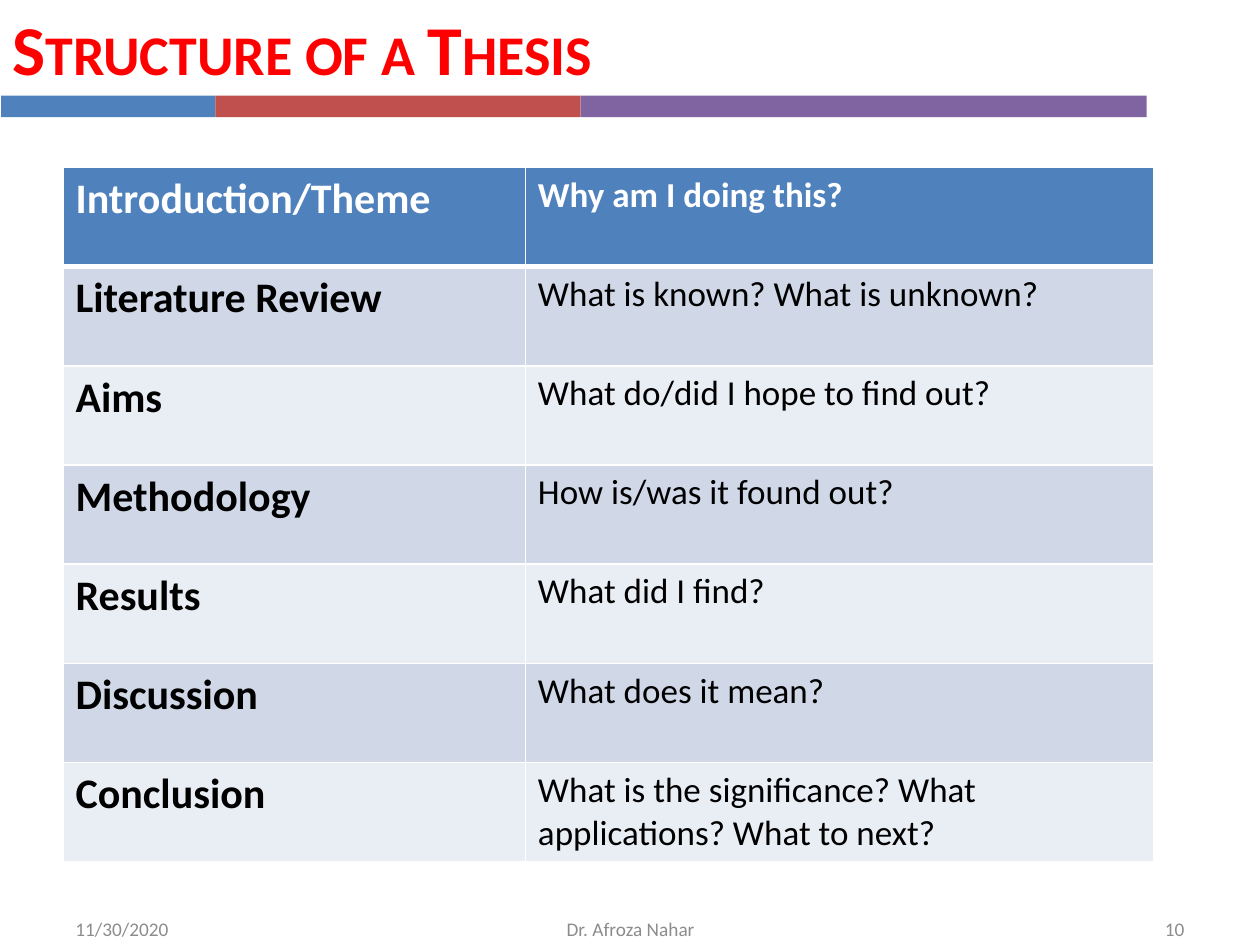
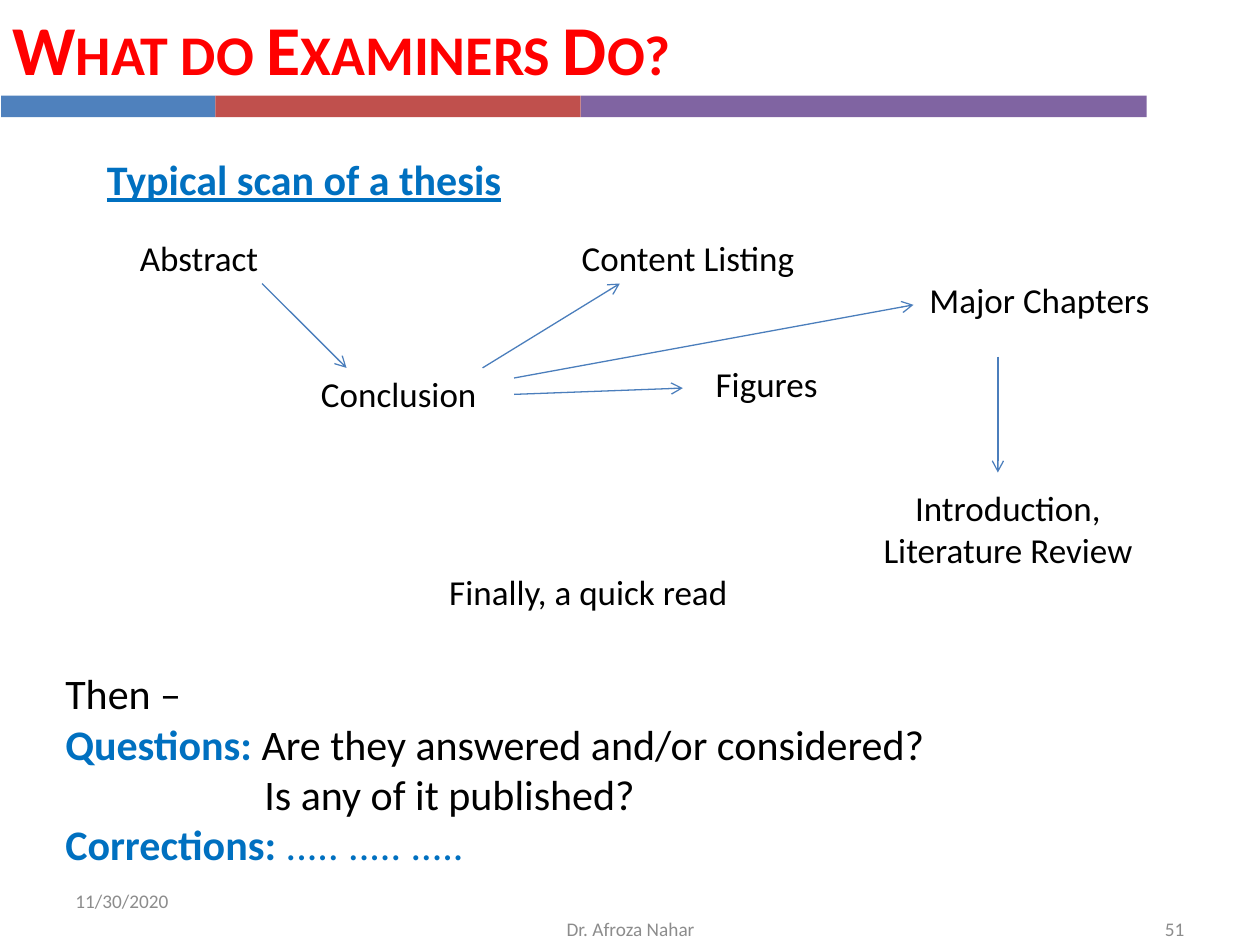
from lxml import etree
from pptx import Presentation
from pptx.dml.color import RGBColor
from pptx.enum.shapes import MSO_CONNECTOR, MSO_SHAPE
from pptx.enum.text import MSO_ANCHOR, MSO_AUTO_SIZE, PP_ALIGN
from pptx.oxml.ns import qn
from pptx.util import Inches, Pt

LEFT, CENTER, RIGHT = PP_ALIGN.LEFT, PP_ALIGN.CENTER, PP_ALIGN.RIGHT
TOP, MIDDLE = MSO_ANCHOR.TOP, MSO_ANCHOR.MIDDLE
RECTANGLE, STRAIGHT = MSO_SHAPE.RECTANGLE, MSO_CONNECTOR.STRAIGHT
NO_FIT, GROW = MSO_AUTO_SIZE.NONE, MSO_AUTO_SIZE.SHAPE_TO_FIT_TEXT

FONT = "Calibri"
BLUE, RED, PURPLE = "4F81BD", "C0504D", "8064A2"
TITLE_RED, ACCENT, GREY = "FF0000", "0070C0", "8C8C8C"
BLACK, WHITE, ARROW_BLUE = "000000", "FFFFFF", "4B7EBC"
ROW_FILLS = ["E9EDF4", "D0D8E8"]
color = RGBColor.from_string


def add_run(paragraph, text, size, hex_color, bold=False):
    run = paragraph.add_run()
    run.text = text
    run.font.name = FONT
    run.font.size = Pt(size)
    run.font.bold = bold
    run.font.color.rgb = color(hex_color)
    return run


def add_text_box(slide, box, lines, size, hex_color, align=LEFT, anchor=TOP, fit=GROW):
    """Each line is a list of (text, colour, bold) runs or a plain string."""
    shape = slide.shapes.add_textbox(*[Inches(value) for value in box])
    frame = shape.text_frame
    frame.word_wrap = True
    frame.auto_size = fit
    frame.vertical_anchor = anchor
    for index, line in enumerate(lines):
        paragraph = frame.paragraphs[0] if index == 0 else frame.add_paragraph()
        paragraph.alignment = align
        runs = [(line, hex_color, False)] if isinstance(line, str) else line
        for text, run_color, bold in runs:
            add_run(paragraph, text, size, run_color, bold)
    return shape


presentation = Presentation()
presentation.slide_width = Inches(10)
presentation.slide_height = Inches(7.5)
title_only = presentation.slide_layouts[5]

# Shared parts: title, colour band, footers
slides = []
for title_text, number, date_top in [
    ("Structure of a Thesis", "10", 7.17),
    ("What do Examiners Do?", "51", 6.95),
]:
    slide = presentation.slides.add_slide(title_only)
    slides.append(slide)

    title = slide.shapes.title
    title.left, title.top = Inches(0), Inches(0)
    title.width, title.height = Inches(9.1), Inches(0.76)
    title.text_frame.auto_size = NO_FIT
    title.text_frame.vertical_anchor = MIDDLE
    paragraph = title.text_frame.paragraphs[0]
    paragraph.alignment = LEFT
    run = add_run(paragraph, title_text, 40, TITLE_RED, True)
    run.font._element.set("cap", "small")

    band_left = 0.01
    for width, fill in [(1.7, BLUE), (2.9, RED), (4.49, PURPLE)]:
        band = slide.shapes.add_shape(
            RECTANGLE, Inches(band_left), Inches(0.76), Inches(width), Inches(0.17)
        )
        band.shadow.inherit = False
        band.fill.solid()
        band.fill.fore_color.rgb = color(fill)
        band.line.fill.background()
        band_left += width

    for text, left, top, width, align in [
        ("11/30/2020", 0.5, date_top, 2.33, LEFT),
        ("Dr. Afroza Nahar", 3.42, 7.17, 3.17, CENTER),
        (number, 7.17, 7.17, 2.33, RIGHT),
    ]:
        add_text_box(slide, (left, top, width, 0.4), [text], 11, GREY, align, MIDDLE, NO_FIT)

structure_slide, examiners_slide = slides

# Slide 1: thesis parts and the question each one answers
thesis_parts = [
    ("Introduction/Theme", "Why am I doing this?"),
    ("Literature Review", "What is known? What is unknown?"),
    ("Aims", "What do/did I hope to find out?"),
    ("Methodology", "How is/was it found out?"),
    ("Results", "What did I find?"),
    ("Discussion", "What does it mean?"),
    ("Conclusion", "What is the significance? What applications? What to next?"),
]
table = structure_slide.shapes.add_table(
    len(thesis_parts), 2, Inches(0.5), Inches(1.33), Inches(8.66), Inches(5.51)
).table
table.columns[0].width = Inches(3.67)
table.columns[1].width = Inches(4.99)

for row_index, part in enumerate(thesis_parts):
    is_header = row_index == 0
    for column_index, text in enumerate(part):
        is_part_name = column_index == 0
        cell = table.cell(row_index, column_index)
        add_run(
            cell.text_frame.paragraphs[0],
            text,
            24 if is_part_name else 20,
            WHITE if is_header else BLACK,
            is_header or is_part_name,
        )

        # Borders go before the fill in the cell properties
        properties = cell._tc.get_or_add_tcPr()
        for side in ("lnL", "lnR", "lnT", "lnB"):
            below_header = (row_index, side) in [(0, "lnB"), (1, "lnT")]
            border = etree.SubElement(properties, qn(f"a:{side}"))
            border.set("w", str(Pt(3 if below_header else 1)))
            border_fill = etree.SubElement(border, qn("a:solidFill"))
            etree.SubElement(border_fill, qn("a:srgbClr")).set("val", WHITE)
        cell.fill.solid()
        cell.fill.fore_color.rgb = color(BLUE if is_header else ROW_FILLS[row_index % 2])

# Slide 2: reading order of an examiner
heading = add_text_box(
    examiners_slide, (0.75, 1.17, 3.42, 0.5),
    [[("Typical scan of a thesis", ACCENT, True)]], 24, ACCENT,
)
heading.text_frame.paragraphs[0].runs[0].font.underline = True

steps = {}
for lines, left, top, width in [
    (["Abstract"], 0.83, 1.83, 1.5),
    (["Conclusion"], 2.25, 2.91, 1.83),
    (["Content Listing"], 4.25, 1.83, 2.42),
    (["Figures"], 5.17, 2.83, 1.83),
    (["Major Chapters"], 7, 2.16, 2.5),
    (["Introduction,", "Literature Review"], 6.75, 3.81, 2.5),
    (["Finally, a quick read"], 3.42, 4.48, 2.5),
]:
    height = 0.44 + 0.33 * (len(lines) - 1)
    steps[lines[0]] = add_text_box(
        examiners_slide, (left, top, width, height), lines, 20, BLACK, CENTER
    )

# Arrows between the steps
for start_x, start_y, end_x, end_y, start_step in [
    (2.08, 2.25, 2.75, 2.92, None),
    (3.83, 2.92, 4.92, 2.25, None),
    (4.08, 3.13, 5.42, 3.08, "Conclusion"),
    (4.08, 3, 7.25, 2.42, None),
    (7.92, 2.83, 7.92, 3.75, None),
]:
    arrow = examiners_slide.shapes.add_connector(
        STRAIGHT, Inches(start_x), Inches(start_y), Inches(end_x), Inches(end_y)
    )
    if start_step:
        arrow.begin_connect(steps[start_step], 3)
    arrow.line.color.rgb = color(ARROW_BLUE)
    arrow.line.width = Pt(0.75)
    etree.SubElement(arrow.line._get_or_add_ln(), qn("a:tailEnd")).set("type", "arrow")
    etree.SubElement(arrow._element.spPr, qn("a:effectLst"))

# Closing remarks
closing = add_text_box(
    examiners_slide,
    (0.42, 5.25, 9.17, 2),
    [
        "Then –",
        [("Questions: ", ACCENT, True), ("Are they answered and/or considered?", BLACK, False)],
        "Is any of it published?",
        [("Corrections: ", ACCENT, True), ("..... ..... .....", ACCENT, False)],
    ],
    24,
    BLACK,
    fit=NO_FIT,
)
published = closing.text_frame.paragraphs[2]
published._p.get_or_add_pPr().set("marL", str(Inches(1.58)))

presentation.save("out.pptx")
